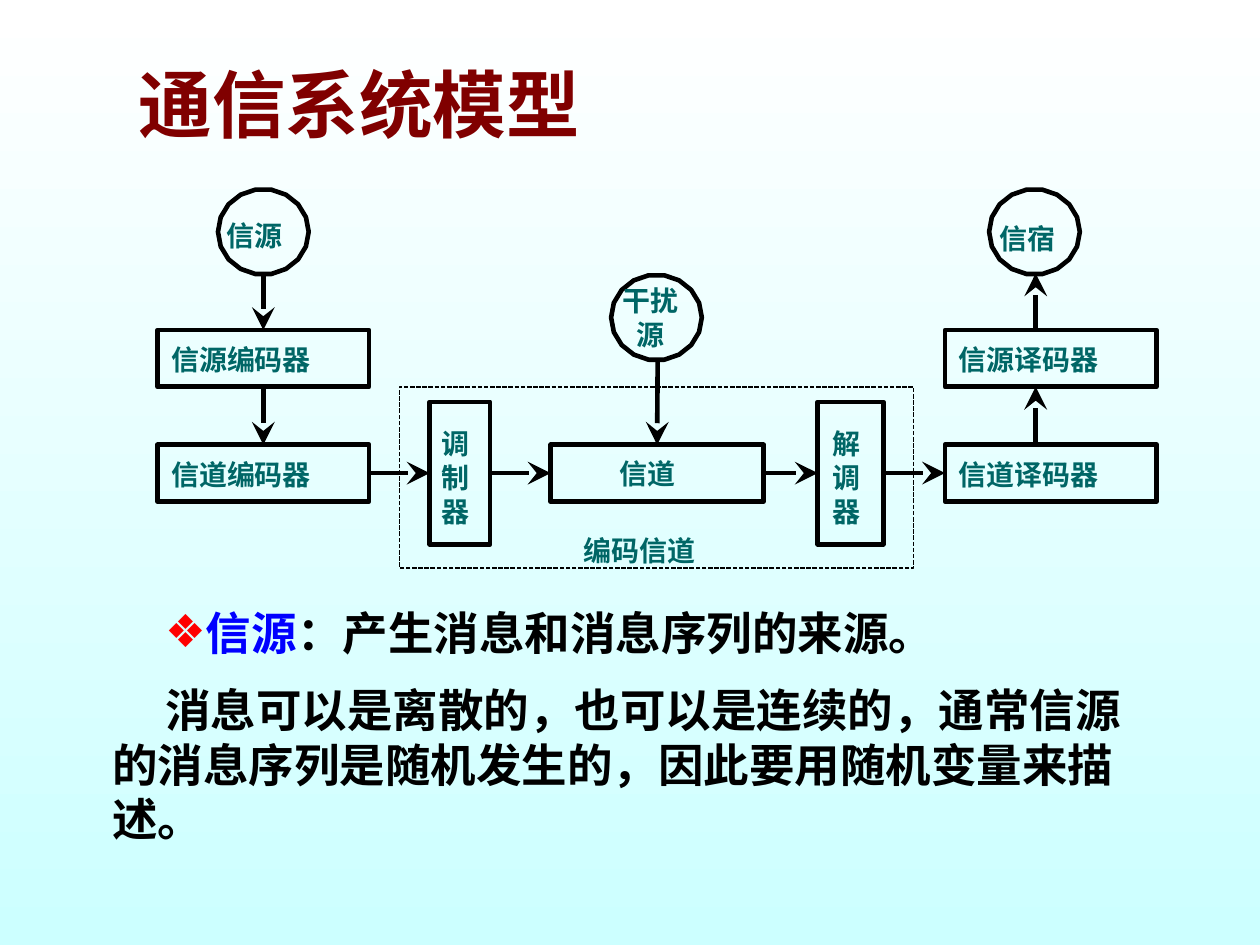
from math import cos, radians, sin

from lxml.etree import SubElement
from pptx import Presentation
from pptx.dml.color import RGBColor
from pptx.enum.dml import MSO_LINE
from pptx.enum.shapes import MSO_CONNECTOR, MSO_SHAPE
from pptx.enum.text import MSO_ANCHOR, MSO_AUTO_SIZE, PP_ALIGN
from pptx.oxml.ns import qn
from pptx.util import Inches, Pt

COLORS = {
    "sky": "CCFFFF",
    "white": "FFFFFF",
    "title": "800000",
    "label": "006666",
    "term": "0000FF",
    "ink": "000000",
    "bullet": "FF0000",
}
TEXT_FONT = "Karla"
LABEL_FONT = "Noto Sans CJK SC"
TOP, LEFT, BOTTOM, RIGHT = range(4)
LINE_WIDTH = 2.64
LABEL_SIZE = 16
LABEL_LINE = 0.27


def color(name):
    return RGBColor.from_string(COLORS[name])


def format_run(run, font_name, size, color_name):
    run.font.name = font_name
    run.font.size = Pt(size)
    run.font.bold = True
    run.font.color.rgb = color(color_name)
    SubElement(run.font._element, qn("a:ea"), typeface=font_name)


def place(shape, left, top, width, height):
    shape.left, shape.top = Inches(left), Inches(top)
    shape.width, shape.height = Inches(width), Inches(height)


def paint_background(slide):
    fill = slide.background.fill
    fill.gradient()
    fill.gradient_angle = 270
    for stop, name in zip(fill.gradient_stops, ("white", "sky")):
        stop.color.rgb = color(name)


def add_title(slide, left, top, width, height):
    title = slide.shapes.title
    place(title, left, top, width, height)
    text_frame = title.text_frame
    text_frame.text = "通信系统模型"
    text_frame.auto_size = MSO_AUTO_SIZE.NONE
    text_frame.vertical_anchor = MSO_ANCHOR.MIDDLE
    paragraph = text_frame.paragraphs[0]
    paragraph.alignment = PP_ALIGN.LEFT
    paragraph.line_spacing = 0.85
    format_run(paragraph.runs[0], TEXT_FONT, 42, "title")


def add_label(shapes, lines, left, top):
    width = max(map(len, lines)) * LABEL_SIZE / 72
    label = shapes.add_textbox(Inches(left), Inches(top),
                               Inches(width), Inches(LABEL_LINE * len(lines)))
    text_frame = label.text_frame
    text_frame.margin_left = text_frame.margin_right = 0
    text_frame.margin_top = text_frame.margin_bottom = 0
    text_frame.word_wrap = False
    text_frame.vertical_anchor = MSO_ANCHOR.MIDDLE
    text_frame.text = "\n".join(lines)
    for paragraph in text_frame.paragraphs:
        if len(lines) > 1:
            paragraph.alignment = PP_ALIGN.CENTER
            paragraph.line_spacing = Pt(LABEL_LINE * 72)
        format_run(paragraph.runs[0], LABEL_FONT, LABEL_SIZE, "label")


def outline(shape, width=LINE_WIDTH):
    shape.shadow.inherit = False
    shape.fill.background()
    shape.line.color.rgb = color("ink")
    shape.line.width = Pt(width)


def add_block(shapes, left, top, width, height, lines, label_dx, label_dy):
    block = shapes.add_shape(MSO_SHAPE.RECTANGLE, Inches(left), Inches(top),
                             Inches(width), Inches(height))
    outline(block)
    add_label(shapes, lines, left + label_dx, top + label_dy)
    return block


def add_round_node(shapes, left, top, lines, label_dx, label_dy):
    radius_x, radius_y, sides = 0.36, 0.34, 18
    angles = [radians(180 + 360 / sides * side) for side in range(sides)]
    points = [(Inches(left + radius_x * (1 + cos(angle))),
               Inches(top + radius_y * (1 + sin(angle)))) for angle in angles]
    builder = shapes.build_freeform(*points[0])
    builder.add_line_segments(points[1:], close=True)
    outline(builder.convert_to_shape())
    add_label(shapes, lines, left + label_dx, top + label_dy)


def add_arrow(shapes, start=(0, 0), end=(0, 0), source=None, target=None):
    arrow = shapes.add_connector(MSO_CONNECTOR.STRAIGHT,
                                 *map(Inches, start), *map(Inches, end))
    if source:
        arrow.begin_connect(*source)
    if target:
        arrow.end_connect(*target)
    arrow.line.color.rgb = color("ink")
    arrow.line.width = Pt(LINE_WIDTH)
    SubElement(arrow.line._get_or_add_ln(), qn("a:tailEnd"),
               type="stealth", w="lg", len="lg")
    SubElement(arrow._element.spPr, qn("a:effectLst"))


def add_diagram(slide, left, top):
    shapes = slide.shapes.add_group_shape().shapes
    upper, lower, tall = top + 1.12, top + 2.03, top + 1.69
    decoder_left = left + 6.25
    coder_size, label_offset = (1.68, 0.45), (0.11, 0.1)

    frame_left, frame_top = left + 1.92, top + 1.57
    frame = shapes.add_shape(MSO_SHAPE.RECTANGLE, Inches(frame_left), Inches(frame_top),
                             Inches(4.08), Inches(1.44))
    outline(frame, 0.88)
    frame.line.dash_style = MSO_LINE.SQUARE_DOT
    add_label(shapes, ["编码信道"], frame_left + 1.46, frame_top + 1.16)

    add_round_node(shapes, left + 0.48, top, ["信源"], 0.07, 0.23)
    add_round_node(shapes, left + 6.6, top, ["信宿"], 0.08, 0.26)
    add_round_node(shapes, left + 3.6, top + 0.68, ["干扰", "源"], 0.09, 0.07)

    source_coder, channel_coder, source_decoder, channel_decoder = [
        add_block(shapes, x, y, *coder_size, [text], *label_offset)
        for x, y, text in ((left, upper, "信源编码器"), (left, lower, "信道编码器"),
                           (decoder_left, upper, "信源译码器"),
                           (decoder_left, lower, "信道译码器"))]
    modulator = add_block(shapes, left + 2.16, tall, 0.48, 1.13, "调制器", 0.09, 0.19)
    channel = add_block(shapes, left + 3.12, lower, 1.69, 0.45, ["信道"], 0.55, 0.09)
    demodulator = add_block(shapes, left + 5.24, tall, 0.52, 1.13, "解调器", 0.12, 0.19)

    chain = [channel_coder, modulator, channel, demodulator, channel_decoder]
    for source, target in zip(chain, chain[1:]):
        add_arrow(shapes, source=(source, RIGHT), target=(target, LEFT))
    add_arrow(shapes, source=(source_coder, BOTTOM), target=(channel_coder, TOP))
    add_arrow(shapes, start=(left + 0.84, top + 0.67), target=(source_coder, TOP))
    add_arrow(shapes, start=(left + 3.97, top + 1.35), target=(channel, TOP))
    sink_x = left + 6.97
    for start_y, end_y in ((lower, upper + 0.45), (upper, top + 0.67)):
        add_arrow(shapes, start=(sink_x, start_y), end=(sink_x, end_y))


def set_bullet(paragraph, character=None):
    properties = paragraph._p.get_or_add_pPr()
    properties.set("marL", str(Inches(0.21)))
    properties.set("indent", str(Inches(0.42)))
    if character:
        bullet_color = SubElement(properties, qn("a:buClr"))
        SubElement(bullet_color, qn("a:srgbClr"), val=COLORS["bullet"])
        SubElement(properties, qn("a:buChar"), char=character)
    else:
        SubElement(properties, qn("a:buNone"))


def add_explanation(slide, left, top, width, height):
    body = slide.placeholders[1]
    place(body, left, top, width, height)
    text_frame = body.text_frame
    text_frame.auto_size = MSO_AUTO_SIZE.NONE
    definition, remark = text_frame.paragraphs[0], text_frame.add_paragraph()
    rows = (
        (definition, "❖", 0, (("信源", "term"), ("：产生消息和消息序列的来源。", "ink"))),
        (remark, None, 13, (("消息可以是离散的，也可以是连续的，通常信源的消息序列是随机发生的，"
                             "因此要用随机变量来描述。", "ink"),)),
    )
    for paragraph, bullet, space, runs in rows:
        paragraph.level = 1
        set_bullet(paragraph, bullet)
        paragraph.space_before = Pt(space)
        for text, color_name in runs:
            run = paragraph.add_run()
            run.text = text
            format_run(run, TEXT_FONT, 26, color_name)


def main():
    presentation = Presentation()
    presentation.slide_width, presentation.slide_height = Inches(10), Inches(7.5)
    slide = presentation.slides.add_slide(presentation.slide_layouts[1])
    paint_background(slide)
    add_title(slide, 1, 0.33, 8, 1.08)
    add_diagram(slide, 1.25, 1.5)
    add_explanation(slide, 0.58, 4.75, 8.67, 2.17)
    presentation.save("out.pptx")


if __name__ == "__main__":
    main()
